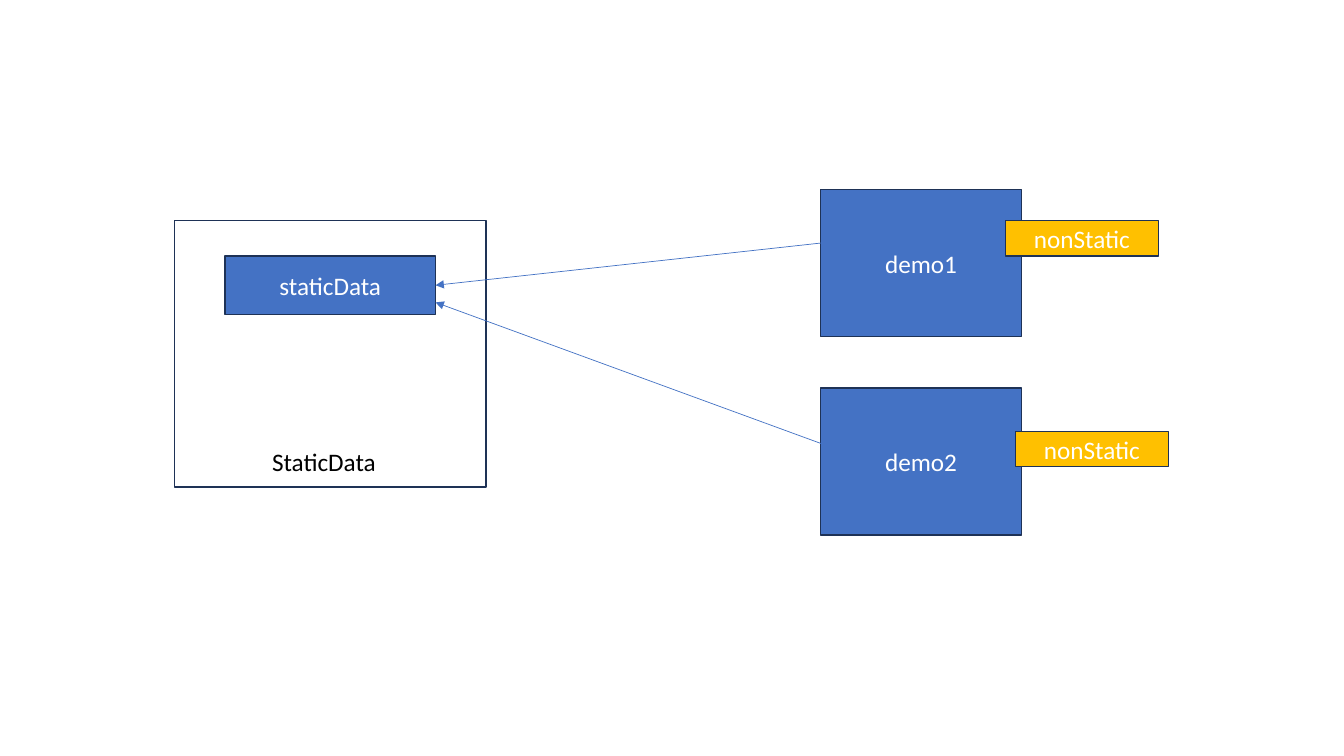
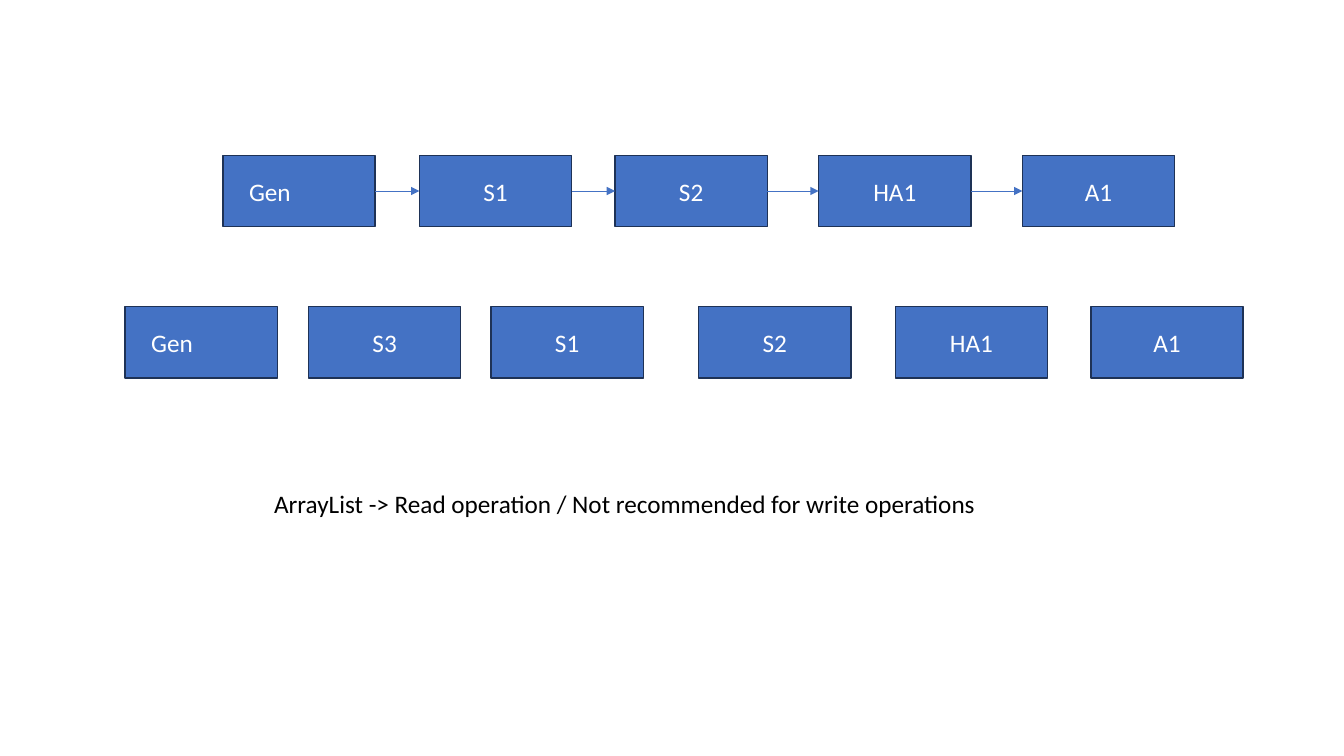
from dataclasses import dataclass

from lxml import etree
from pptx import Presentation
from pptx.dml.color import RGBColor
from pptx.enum.shapes import MSO_CONNECTOR, MSO_SHAPE
from pptx.enum.text import MSO_ANCHOR, PP_ALIGN
from pptx.oxml.ns import qn
from pptx.util import Pt

RECT = MSO_SHAPE.RECTANGLE
STRAIGHT = MSO_CONNECTOR.STRAIGHT
MIDDLE = MSO_ANCHOR.MIDDLE
CENTER, LEFT = PP_ALIGN.CENTER, PP_ALIGN.LEFT
LEFT_SITE, RIGHT_SITE = 1, 3
PX = 9144  # EMU per px, 100 px to the inch


@dataclass(frozen=True)
class Theme:
    blue: RGBColor = RGBColor(0x44, 0x72, 0xC4)
    gold: RGBColor = RGBColor(0xFF, 0xC0, 0x00)
    navy: RGBColor = RGBColor(0x1E, 0x32, 0x56)
    white: RGBColor = RGBColor(0xFF, 0xFF, 0xFF)
    black: RGBColor = RGBColor(0x00, 0x00, 0x00)
    font: str = "Calibri"
    size: int = Pt(18)
    edge: int = Pt(1)
    thin: int = Pt(0.5)


theme = Theme()


def box(slide, text, area, fill=theme.blue):
    """Add a bordered box with centred text; a fill of None leaves it open."""
    shape = slide.shapes.add_shape(RECT, *(n * PX for n in area))
    shape.shadow.inherit = False
    shape.line.color.rgb = theme.navy
    shape.line.width = theme.edge
    if fill is None:
        shape.fill.background()
    else:
        shape.fill.solid()
        shape.fill.fore_color.rgb = fill
    if text:
        frame = shape.text_frame
        frame.text = text
        frame.vertical_anchor = MIDDLE
        para = frame.paragraphs[0]
        para.alignment = CENTER
        para.runs[0].font.color.rgb = theme.white
    return shape


def arrow(slide, ends):
    """Add a thin arrow along ends, given as x1, y1, x2, y2."""
    line = slide.shapes.add_connector(STRAIGHT, *(n * PX for n in ends))
    line.line.color.rgb = theme.blue
    line.line.width = theme.thin
    tip = etree.SubElement(line.line._get_or_add_ln(), qn("a:tailEnd"))
    tip.set("type", "triangle")
    etree.SubElement(line._element.spPr, qn("a:effectLst"))
    return line


deck = Presentation()
deck.slide_width = 1333 * PX
deck.slide_height = 750 * PX
blank = deck.slide_layouts[6]

# Static and instance data
data = deck.slides.add_slide(blank)
box(data, "", (173, 219, 309, 264), None)
box(data, "staticData", (223, 254, 209, 58))
for name, top in (("demo1", 188), ("demo2", 385)):
    box(data, name, (814, top, 199, 146))
for ends in ((861, 236, 432, 283), (828, 445, 432, 300)):
    arrow(data, ends)
for left, top in ((997, 219), (1007, 428)):
    box(data, "nonStatic", (left, top, 152, 35), theme.gold)

# Linked chain above, array below
lists = deck.slides.add_slide(blank)
chain = (("Gen", 221), ("S1", 416), ("S2", 610), ("HA1", 812), ("A1", 1014))
array = (("Gen", 124), ("S3", 306), ("S1", 487), ("S2", 693),
         ("HA1", 888), ("A1", 1082))
for row, top, linked in ((chain, 154, True), (array, 304, False)):
    nodes = [box(lists, name, (left, top, 151, 71)) for name, left in row]
    head = nodes[0].text_frame
    head.margin_left = 26 * PX
    head.paragraphs[0].alignment = LEFT
    if linked:
        for start, end in zip(nodes, nodes[1:]):
            line = arrow(lists, (0, 0, 0, 0))
            line.begin_connect(start, RIGHT_SITE)
            line.end_connect(end, LEFT_SITE)

labels = (
    (data, "StaticData", (260, 438, 190, 40)),
    (lists, "ArrayList -> Read operation / Not recommended for write operations",
     (262, 479, 752, 71)),
)
for slide, text, area in labels:
    frame = slide.shapes.add_textbox(*(n * PX for n in area)).text_frame
    frame.word_wrap = True
    frame.text = text
    frame.paragraphs[0].runs[0].font.color.rgb = theme.black

# One type style for all text
for slide in deck.slides:
    for shape in slide.shapes:
        if shape.has_text_frame:
            for para in shape.text_frame.paragraphs:
                for run in para.runs:
                    run.font.name = theme.font
                    run.font.size = theme.size

deck.save("out.pptx")
